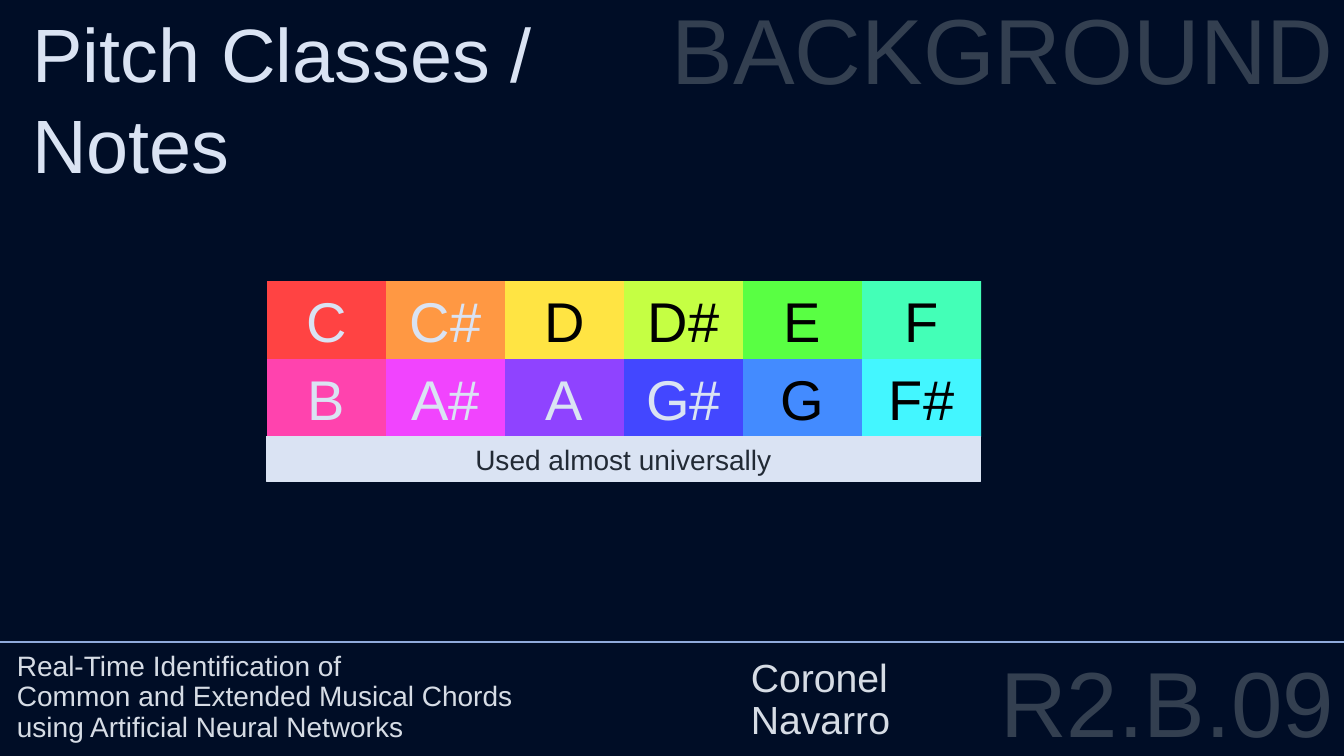
"""Builds the slide on pitch classes as a chromatic colour grid."""
from lxml import etree
from pptx import Presentation
from pptx.dml.color import RGBColor
from pptx.enum import shapes, text
from pptx.oxml.ns import qn
from pptx.util import Pt

COLOURS = {
    "background": "000D26", "pale": "DAE3F3", "footer": "D6DCE5", "dim": "333F50",
    "rule": "8FAADC", "black": "000000", "dark": "222A35",
}
FONT = "Arial"
LEFT, CENTRE, RIGHT = text.PP_ALIGN.LEFT, text.PP_ALIGN.CENTER, text.PP_ALIGN.RIGHT
TOP, BOTTOM = text.MSO_ANCHOR.TOP, text.MSO_ANCHOR.BOTTOM

NOTE_ROWS = [
    [("C", "FF4343", "pale"), ("C#", "FF9843", "pale"), ("D", "FFE443", "black"),
     ("D#", "C5FF43", "black"), ("E", "59FF43", "black"), ("F", "43FFB7", "black")],
    [("B", "FF43AE", "pale"), ("A#", "F144FE", "pale"), ("A", "8F43FF", "pale"),
     ("G#", "4347FF", "pale"), ("G", "438BFF", "black"), ("F#", "43F6FF", "black")],
]
CAPTION = "Used almost universally"
PAPER_TITLE = ["Real-Time Identification of", "Common and Extended Musical Chords",
               "using Artificial Neural Networks"]
LABELS = [
    ([PAPER_TITLE], (5, 319, 524, 215.3), 20, "footer", LEFT, BOTTOM, 0.9),
    ([["R2.B.09"]], (609, 472.3, 351, 75), 66, "dim", RIGHT, TOP, 0.8),
    ([["Coronel"], ["Navarro"]], (529.2, 319, 367, 215.3), 28, "footer", LEFT, BOTTOM, 0.9),
    ([["Pitch Classes / Notes"]], (16, 1.5, 464.4, 138), 54, "pale", LEFT, TOP, 1.0),
    ([["BACKGROUND"]], (160, 0, 800, 258), 66, "dim", RIGHT, TOP, 0.9),
]
SLIDE_WIDTH, SLIDE_HEIGHT = 960, 540
GRID_LEFT, GRID_TOP, NOTE_WIDTH, NOTE_HEIGHT = 190.8, 200.9, 85, 55.6
RULE_Y = 458.6


def colour(name):
    return RGBColor.from_string(COLOURS.get(name, name))


def write(frame, paragraphs, size, ink, align, spacing=1.0):
    frame.word_wrap = True
    for index, lines in enumerate(paragraphs):
        paragraph = frame.add_paragraph() if index else frame.paragraphs[0]
        paragraph.alignment = align
        paragraph.line_spacing = spacing
        for number, line in enumerate(lines):
            if number:
                paragraph.add_line_break()
            run = paragraph.add_run()
            run.text = line
            run.font.name = FONT
            run.font.size = Pt(size)
            run.font.color.rgb = colour(ink)


def add_tile(slide, box, label, fill, size, ink):
    tile = slide.shapes.add_shape(shapes.MSO_SHAPE.RECTANGLE, *map(Pt, box))
    tile.shadow.inherit = False
    tile.fill.solid()
    tile.fill.fore_color.rgb = colour(fill)
    tile.line.fill.background()
    write(tile.text_frame, [[label]], size, ink, CENTRE)
    return tile


def main():
    deck = Presentation()
    deck.slide_width, deck.slide_height = Pt(SLIDE_WIDTH), Pt(SLIDE_HEIGHT)
    slide = deck.slides.add_slide(deck.slide_layouts[6])
    slide.background.fill.solid()
    slide.background.fill.fore_color.rgb = colour("background")

    rule = slide.shapes.add_connector(
        shapes.MSO_CONNECTOR.STRAIGHT, 0, Pt(RULE_Y), Pt(SLIDE_WIDTH), Pt(RULE_Y))
    rule.line.color.rgb = colour("rule")
    rule.line.width = Pt(1.5)
    etree.SubElement(rule.line._get_or_add_ln().getparent(), qn("a:effectLst"))

    for row, notes in enumerate(NOTE_ROWS):
        for column, (note, fill, ink) in enumerate(notes):
            box = (GRID_LEFT + column * NOTE_WIDTH, GRID_TOP + row * NOTE_HEIGHT,
                   NOTE_WIDTH, NOTE_HEIGHT)
            add_tile(slide, box, note, fill, 40, ink)

    for paragraphs, box, size, ink, align, anchor, spacing in LABELS:
        label = slide.shapes.add_textbox(*map(Pt, box))
        label.text_frame.vertical_anchor = anchor
        write(label.text_frame, paragraphs, size, ink, align, spacing)

    caption_box = (GRID_LEFT - 0.5, GRID_TOP + len(NOTE_ROWS) * NOTE_HEIGHT,
                   len(NOTE_ROWS[0]) * NOTE_WIDTH, 31.7)
    caption = add_tile(slide, caption_box, CAPTION, "pale", 20, "dark")
    caption.line.color.rgb = colour("pale")
    caption.line.width = Pt(0.75)

    deck.save("out.pptx")


if __name__ == "__main__":
    main()
